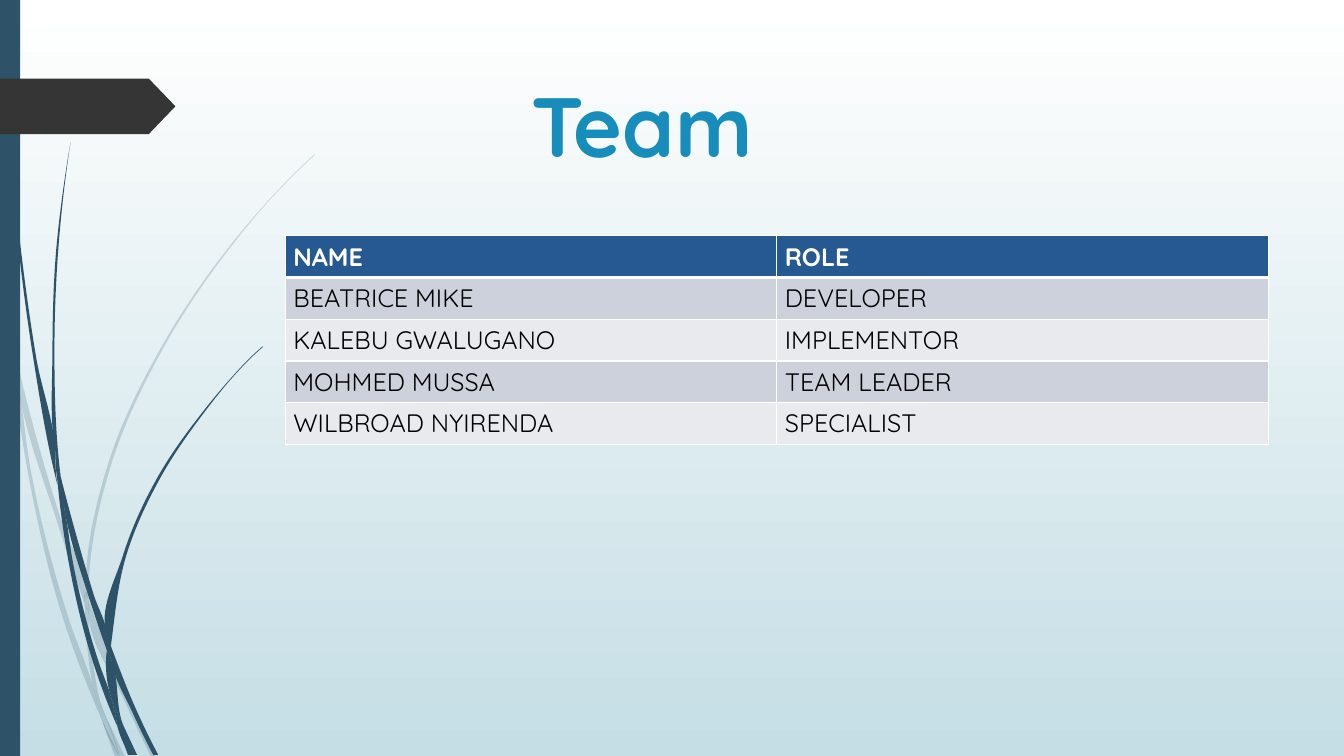
import math

import pptx
import pptx.util
import pptx.dml.color
import pptx.enum.shapes
import pptx.enum.text
import pptx.oxml
import pptx.oxml.ns

Inches = pptx.util.Inches
Pt = pptx.util.Pt
RGBColor = pptx.dml.color.RGBColor
qn = pptx.oxml.ns.qn
NAMESPACE = pptx.oxml.ns.nsdecls("a")

FONT = "Quicksand"
WHITE = RGBColor(0xFF, 0xFF, 0xFF)
BLACK = RGBColor(0x00, 0x00, 0x00)
PALE_TEAL = RGBColor(0xC5, 0xDE, 0xE5)
NAVY = RGBColor(0x2E, 0x53, 0x69)
CHARCOAL = RGBColor(0x35, 0x35, 0x35)
TITLE_BLUE = RGBColor(0x17, 0x8D, 0xBB)
HEADER_BLUE = RGBColor(0x26, 0x59, 0x91)
BANDS = [RGBColor(0xCD, 0xD1, 0xDC), RGBColor(0xE8, 0xEA, 0xEE)]

TEAM = [
    ("NAME", "ROLE"),
    ("BEATRICE MIKE", "DEVELOPER"),
    ("KALEBU GWALUGANO", "IMPLEMENTOR"),
    ("MOHMED MUSSA", "TEAM LEADER"),
    ("WILBROAD NYIRENDA", "SPECIALIST"),
]

# Pieces of the grass blades: points around each outline
PALE_GRASS = [
    [(0.11, 3.5), (0.09, 3.22), (0, 2.82), (0, 2.99), (0.1, 3.44)],
    [(0.58, 5.22), (0.84, 5.99), (0.85, 5.86), (0.62, 5.2), (0.14, 3.45), (0.17, 3.76)],
    [(0.92, 6.07), (0.88, 5.96), (0.88, 6.1), (1.23, 6.94), (1.5, 7.51), (1.55, 7.51),
     (1.27, 6.92)],
    [(1.19, 7.51), (1.24, 7.51), (1.05, 7.11)],
    [(0.93, 6.83), (0.7, 6.19), (0.31, 4.69), (0.17, 3.76), (0.11, 3.5), (0.28, 4.7),
     (0.65, 6.21), (0.92, 6.93), (1.01, 7.14), (0.99, 7.07)],
    [(0.84, 5.99), (0.87, 6.46), (0.93, 6.83), (0.96, 6.92), (1.05, 7.11), (1.03, 7.06),
     (0.91, 6.46), (0.88, 6.1), (0.88, 6.08)],
    [(0.88, 5.84), (1.1, 4.62), (1.6, 3.49), (2.29, 2.45), (2.68, 1.98), (2.9, 1.75),
     (3.12, 1.54), (3.12, 1.53), (2.89, 1.75), (2.68, 1.97), (2.28, 2.44), (1.58, 3.48),
     (1.07, 4.61), (0.85, 5.84), (0.85, 5.86), (0.88, 5.96)],
    [(1.01, 7.14), (1.14, 7.51), (1.19, 7.51)],
    [(0.88, 6.08), (0.88, 6.1), (0.88, 5.96), (0.85, 5.86), (0.84, 5.99)],
    [(0.96, 6.92), (0.93, 6.83), (0.99, 7.07), (1.01, 7.14), (1.19, 7.51), (1.05, 7.11)],
]
DARK_GRASS = [
    [(0.07, 1.1), (0.17, 2.33), (0.33, 3.55), (0.56, 4.77), (0.57, 4.81), (0.55, 4.57),
     (0.55, 4.53), (0.36, 3.55), (0.19, 2.32), (0.08, 1.09), (0.05, 0.48), (0.04, 0),
     (0.03, 0), (0.04, 0.48)],
    [(0.88, 5.92), (1.06, 6.45), (1.06, 6.33), (1.06, 6.31), (0.93, 5.9), (0.6, 4.72),
     (0.64, 5.05)],
    [(1.13, 6.49), (1.1, 6.41), (1.11, 6.56), (1.32, 7.08), (1.52, 7.49), (1.57, 7.49),
     (1.36, 7.06)],
    [(1.1, 6.91), (0.98, 6.57), (0.72, 5.56), (0.64, 5.05), (0.57, 4.77), (0.68, 5.57),
     (0.93, 6.59), (1.11, 7.08), (1.17, 7.22), (1.16, 7.17)],
    [(0.6, 4.72), (0.58, 4.53), (0.54, 3.49), (0.58, 2.45), (0.63, 1.93), (0.7, 1.41),
     (0.62, 1.93), (0.56, 2.45), (0.52, 3.49), (0.55, 4.49)],
    [(1.33, 7.49), (1.36, 7.49), (1.22, 7.19)],
    [(0.57, 4.77), (0.64, 5.05), (0.6, 4.72), (0.55, 4.49), (0.55, 4.53)],
    [(1.11, 6.33), (1.25, 5.52), (1.58, 4.76), (2.05, 4.06), (2.31, 3.74), (2.45, 3.59),
     (2.61, 3.44), (2.6, 3.44), (2.45, 3.58), (2.31, 3.73), (2.04, 4.05), (1.56, 4.74),
     (1.22, 5.51), (1.06, 6.31), (1.1, 6.41)],
    [(1.17, 7.22), (1.27, 7.49), (1.31, 7.49)],
    [(1.06, 6.45), (1.1, 6.91), (1.16, 7.06), (1.22, 7.19), (1.21, 7.16), (1.11, 6.56),
     (1.09, 6.51)],
    [(1.06, 6.45), (1.09, 6.51), (1.11, 6.56), (1.1, 6.41), (1.06, 6.31), (1.06, 6.33)],
    [(1.16, 7.06), (1.1, 6.91), (1.16, 7.17), (1.17, 7.22), (1.3, 7.49), (1.33, 7.49),
     (1.22, 7.19)],
]


def paint(shape, color):
    shape.shadow.inherit = False
    shape.fill.solid()
    shape.fill.fore_color.rgb = color
    shape.line.fill.background()


def tangent_angle(before, point, after):
    """Direction of the curve at a point, or None at a sharp corner."""
    arriving = math.atan2(point[1] - before[1], point[0] - before[0])
    leaving = math.atan2(after[1] - point[1], after[0] - point[0])
    turn = math.remainder(leaving - arriving, math.tau)
    if abs(turn) > 0.6:
        return None
    near, far = math.dist(before, point), math.dist(point, after)
    return arriving + turn * near / (near + far)


def curve_handles(outline):
    """Two Bezier handles for each side of a closed outline."""
    count = len(outline)
    angles = [tangent_angle(outline[i - 1], outline[i], outline[(i + 1) % count])
              for i in range(count)]
    for i, start in enumerate(outline):
        end = outline[(i + 1) % count]
        chord = math.atan2(end[1] - start[1], end[0] - start[0])
        first, last = angles[i], angles[(i + 1) % count]
        # A corner mirrors the bend at the other end of its side
        first_angle = first if first is not None else 2 * chord - (chord if last is None else last)
        last_angle = last if last is not None else 2 * chord - (chord if first is None else first)
        reach = math.dist(start, end) / 3
        yield ((start[0] + reach * math.cos(first_angle), start[1] + reach * math.sin(first_angle)),
               (end[0] - reach * math.cos(last_angle), end[1] - reach * math.sin(last_angle)))


def add_grass(slide, left, top, pieces, opacity=100):
    for piece in pieces:
        outline = [(Inches(left + x), Inches(top + y)) for x, y in piece]
        builder = slide.shapes.build_freeform(*outline[0], scale=1.0)
        builder.add_line_segments(outline[1:] + outline[:1], close=True)
        blade = builder.convert_to_shape()
        paint(blade, NAVY)
        # Bend the sides
        sides = list(blade._element.iter(qn("a:lnTo")))
        for side, handles in zip(sides, curve_handles(outline)):
            bend = pptx.oxml.parse_xml(f"<a:cubicBezTo {NAMESPACE}/>")
            for x, y in handles:
                bend.append(pptx.oxml.parse_xml(
                    f'<a:pt {NAMESPACE} x="{round(x - blade.left)}" y="{round(y - blade.top)}"/>'))
            bend.append(side[0])
            side.getparent().replace(side, bend)
        if opacity < 100:
            color = blade._element.find(".//" + qn("a:srgbClr"))
            color.append(pptx.oxml.parse_xml(
                f'<a:alpha {NAMESPACE} val="{opacity * 1000}"/>'))


def add_side_decoration(slide, left, top, height):
    add_grass(slide, left, top, PALE_GRASS, opacity=20)
    add_grass(slide, left, top, DARK_GRASS)
    # Side bar and page tag
    kinds = pptx.enum.shapes.MSO_SHAPE
    side_bar = slide.shapes.add_shape(
        kinds.RECTANGLE, Inches(left), Inches(top), Inches(0.2), Inches(height))
    paint(side_bar, NAVY)
    page_tag = slide.shapes.add_shape(
        kinds.PENTAGON, Inches(left), Inches(top + 0.78), Inches(1.74), Inches(0.55))
    page_tag.adjustments[0] = 0.48
    paint(page_tag, CHARCOAL)


def add_run(paragraph, text, size, color, bold):
    run = paragraph.add_run()
    run.text = text
    run.font.name, run.font.size, run.font.bold = FONT, Pt(size), bold
    run.font.color.rgb = color


def add_title(slide, left, top, width, height):
    title = slide.shapes.title
    title.left, title.top = Inches(left), Inches(top)
    title.width, title.height = Inches(width), Inches(height)
    frame = title.text_frame
    frame.word_wrap = True
    frame.auto_size = pptx.enum.text.MSO_AUTO_SIZE.NONE
    frame.vertical_anchor = pptx.enum.text.MSO_ANCHOR.TOP
    frame.margin_left = Inches(2.43)
    frame.paragraphs[0].alignment = pptx.enum.text.PP_ALIGN.LEFT
    add_run(frame.paragraphs[0], "Team", 60, TITLE_BLUE, True)


def add_borders(cell, bottom_width):
    properties = cell._tc.get_or_add_tcPr()
    for index, side in enumerate("LRTB"):
        width = Pt(bottom_width if side == "B" else 1)
        properties.insert(index, pptx.oxml.parse_xml(
            f'<a:ln{side} {NAMESPACE} w="{width}"><a:solidFill>'
            f'<a:srgbClr val="{WHITE}"/></a:solidFill></a:ln{side}>'))


def add_team_table(slide, left, top, width, row_height):
    table = slide.shapes.add_table(
        len(TEAM), len(TEAM[0]), Inches(left), Inches(top),
        Inches(width), Inches(row_height * len(TEAM))).table
    for row, entries in enumerate(TEAM):
        header = row == 0
        for column, entry in enumerate(entries):
            cell = table.cell(row, column)
            cell.margin_left = cell.margin_right = Inches(0.08)
            cell.margin_top = cell.margin_bottom = Inches(0.05)
            cell.fill.solid()
            cell.fill.fore_color.rgb = HEADER_BLUE if header else BANDS[(row - 1) % 2]
            add_borders(cell, 3 if header else 1)
            add_run(cell.text_frame.paragraphs[0], entry, 18,
                    WHITE if header else BLACK, header)


def add_background(slide):
    fill = slide.background.fill
    fill.gradient()
    fill.gradient_angle = 270
    for stop, position, color in zip(fill.gradient_stops, (0, 1), (WHITE, PALE_TEAL)):
        stop.position = position
        stop.color.rgb = color


def main():
    deck = pptx.Presentation()
    deck.slide_width, deck.slide_height = Inches(13.33), Inches(7.5)
    slide = deck.slides.add_slide(deck.slide_layouts[5])
    add_background(slide)
    add_side_decoration(slide, 0, 0, 7.5)
    add_title(slide, 2.84, 0.68, 9.75, 1.4)
    add_team_table(slide, 2.83, 2.34, 9.75, 0.41)
    deck.save("out.pptx")


if __name__ == "__main__":
    main()
